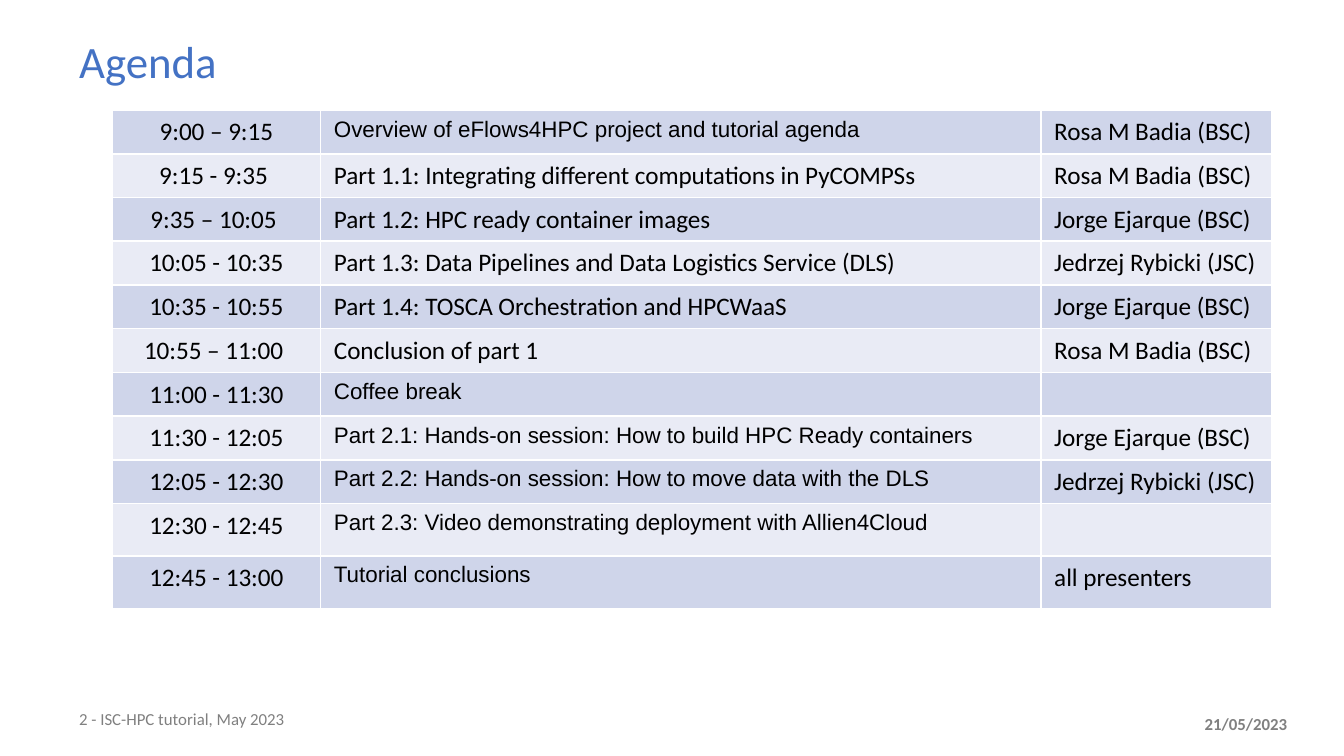
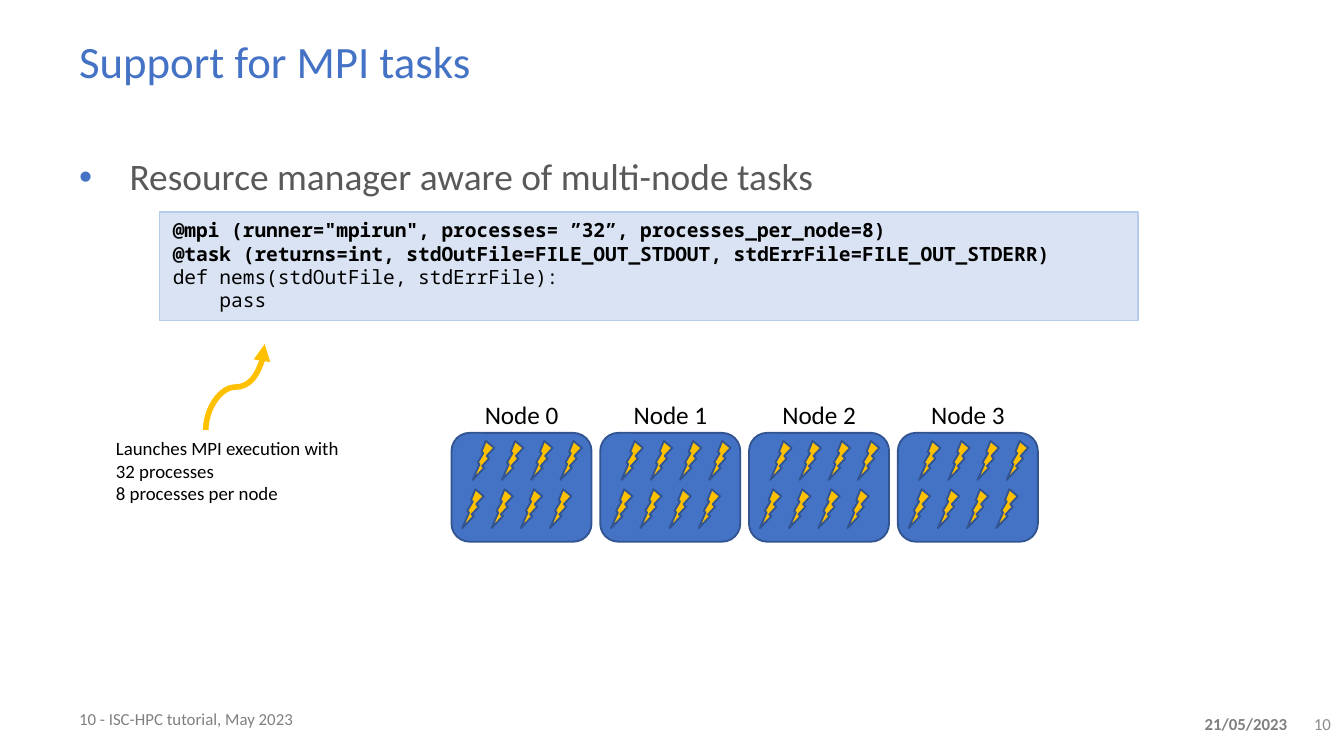
from lxml.etree import SubElement
from pptx import Presentation
from pptx.dml.color import RGBColor
from pptx.enum.shapes import MSO_CONNECTOR, MSO_SHAPE
from pptx.enum.text import MSO_ANCHOR, PP_ALIGN
from pptx.oxml.ns import qn
from pptx.util import Pt

COLORS = {
    "title": "4472C4", "body": "595959", "footer": "808080", "page": "8C8C8C",
    "text": "000000", "border": "FFFFFF", "band_dark": "CFD5EA",
    "band_light": "E9EBF5", "code_fill": "DAE3F3", "code_line": "B4CCEA",
    "node": "4472C4", "outline": "325491", "accent": "FFC000",
}

EVENT = "ISC-HPC tutorial, May 2023"
DATE = "21/05/2023"

# time, topic, presenter, font of the topic
AGENDA = [
    ("9:00 – 9:15", "Overview of eFlows4HPC project and tutorial agenda", "Rosa M Badia (BSC)", "Arial"),
    ("9:15 - 9:35 ", "Part 1.1: Integrating different computations in PyCOMPSs", "Rosa M Badia (BSC)", "Calibri"),
    ("9:35 – 10:05 ", "Part 1.2: HPC ready container images", "Jorge Ejarque (BSC)", "Calibri"),
    ("10:05 - 10:35", "Part 1.3: Data Pipelines and Data Logistics Service (DLS)", "Jedrzej Rybicki (JSC)", "Calibri"),
    ("10:35 - 10:55", "Part 1.4: TOSCA Orchestration and HPCWaaS", "Jorge Ejarque (BSC)", "Calibri"),
    ("10:55 – 11:00 ", "Conclusion of part 1", "Rosa M Badia (BSC)", "Calibri"),
    ("11:00 - 11:30", "Coffee break", "", "Arial"),
    ("11:30 - 12:05", "Part 2.1: Hands-on session: How to build HPC Ready containers", "Jorge Ejarque (BSC)", "Arial"),
    ("12:05 - 12:30", "Part 2.2: Hands-on session: How to move data with the DLS", "Jedrzej Rybicki (JSC)", "Arial"),
    ("12:30 - 12:45", "Part 2.3: Video demonstrating deployment with Allien4Cloud", "", "Arial"),
    ("12:45 - 13:00", "Tutorial conclusions", "all presenters", "Arial"),
]
COLUMN_WIDTHS = (111.6, 385.9, 123.8)
ROW_HEIGHTS = [22.3] * 9 + [28.1] * 2

DECORATORS = [
    '@mpi (runner="mpirun", processes= ”32”, processes_per_node=8)',
    "@task (returns=int, stdOutFile=FILE_OUT_STDOUT, stdErrFile=FILE_OUT_STDERR)",
]
FUNCTION = ["def nems(stdOutFile, stdErrFile):", "    pass"]
LAUNCH_NOTE = ["Launches MPI execution with \n32 processes", "8 processes per node"]

NODES = ["Node 0", "Node 1", "Node 2", "Node 3"]
NODE_LEFT, NODE_TOP, NODE_STEP = 241.9, 231.9, 79.7
NODE_WIDTH, NODE_HEIGHT = 75, 58.3
BOLT_ROWS = [(11.4, 236.2), (5.8, 262.1)]  # offset in the node, top
BOLTS_PER_ROW, BOLT_STEP = 4, 15.65


def rgb(name):
    return RGBColor.from_string(COLORS[name])


def write(frame, lines, size=13.5, font="Calibri", color="text", bold=False,
          align=PP_ALIGN.LEFT, anchor=MSO_ANCHOR.TOP, spacing=None, indent=0,
          bullet=None, bold_lines=0):
    """Fill a text frame with one paragraph per line; bold_lines counts leading bold ones."""
    frame.vertical_anchor = anchor
    for index, line in enumerate(lines):
        paragraph = frame.paragraphs[0] if index == 0 else frame.add_paragraph()
        paragraph.text = line
        paragraph.alignment = align
        if spacing:
            paragraph.line_spacing = spacing
        properties = paragraph._p.get_or_add_pPr()
        if indent:
            properties.set("marL", str(Pt(indent)))
        if bullet:
            properties.set("indent", str(-Pt(indent)))
            bullet_color = SubElement(properties, qn("a:buClr"))
            SubElement(bullet_color, qn("a:srgbClr"), val=COLORS[bullet])
            SubElement(properties, qn("a:buFont"), typeface="Arial")
            SubElement(properties, qn("a:buChar"), char="•")
        for run in paragraph.runs:
            run.font.size = Pt(size)
            run.font.name = font
            run.font.bold = bold or index < bold_lines
            run.font.color.rgb = rgb(color)
        for line_break in paragraph._p.findall(qn("a:br")):
            SubElement(line_break, qn("a:rPr"), sz=str(round(size * 100)))
        if not line:
            paragraph._p.get_or_add_endParaRPr().set("sz", str(round(size * 100)))


def add_text(shapes, lines, box, wrap=True, **style):
    frame = shapes.add_textbox(*map(Pt, box)).text_frame
    frame.word_wrap = wrap
    write(frame, lines, **style)


def add_block(shapes, preset, box, fill, line, width=1):
    block = shapes.add_shape(preset, *map(Pt, box))
    block.shadow.inherit = False
    block.fill.solid()
    block.fill.fore_color.rgb = rgb(fill)
    block.line.color.rgb = rgb(line)
    block.line.width = Pt(width)
    return block


def add_slide(deck, title, number):
    """Start a slide with the shared title and footers."""
    slide = deck.slides.add_slide(deck.slide_layouts[6])
    add_text(slide.shapes, [f"{number} - {EVENT}"], (35.3, 373.7, 139, 23),
             size=9, color="footer", anchor=MSO_ANCHOR.MIDDLE)
    add_text(slide.shapes, [DATE], (630, 378.7, 74.9, 18), size=9,
             color="footer", bold=True, align=PP_ALIGN.CENTER)
    add_text(slide.shapes, [title], (35.3, 18, 517, 33.8), size=24,
             color="title", spacing=0.9)
    return slide


def format_cell(cell, fill):
    properties = cell._tc.get_or_add_tcPr()
    for side in ("lnL", "lnR", "lnT", "lnB"):
        border = SubElement(properties, qn(f"a:{side}"), w=str(Pt(1)))
        solid = SubElement(border, qn("a:solidFill"))
        SubElement(solid, qn("a:srgbClr"), val=COLORS["border"])
    cell.fill.solid()
    cell.fill.fore_color.rgb = rgb(fill)


def add_agenda(slide):
    box = (60.1, 59, sum(COLUMN_WIDTHS), sum(ROW_HEIGHTS))
    table = slide.shapes.add_table(
        len(AGENDA), len(COLUMN_WIDTHS), *map(Pt, box)).table
    table.first_row = table.horz_banding = False
    for column, width in zip(table.columns, COLUMN_WIDTHS):
        column.width = Pt(width)
    for index, (time, topic, presenter, topic_font) in enumerate(AGENDA):
        row = table.rows[index]
        row.height = Pt(ROW_HEIGHTS[index])
        for cell in row.cells:
            format_cell(cell, "band_light" if index % 2 else "band_dark")
        time_cell, topic_cell, presenter_cell = row.cells
        write(time_cell.text_frame, [time], align=PP_ALIGN.CENTER)
        write(topic_cell.text_frame, [topic], font=topic_font,
              size=12 if topic_font == "Arial" else 13.5)
        write(presenter_cell.text_frame, [presenter])


def add_curved_arrow(slide):
    """Draw the arrow rising from the launch note to the code."""
    arrow = slide.shapes.add_connector(
        MSO_CONNECTOR.CURVE, Pt(149), Pt(223.2), Pt(103), Pt(191.6))
    arrow.line.color.rgb = rgb("accent")
    arrow.line.width = Pt(3)
    SubElement(arrow.line._get_or_add_ln(), qn("a:tailEnd"), type="triangle")
    properties = arrow._element.spPr
    properties.xfrm.set("rot", str(90 * 60000))
    SubElement(properties, qn("a:effectLst"))


def add_node(slide, label, left):
    shapes = slide.shapes.add_group_shape().shapes
    add_block(shapes, MSO_SHAPE.ROUNDED_RECTANGLE,
              (left, NODE_TOP, NODE_WIDTH, NODE_HEIGHT), "node", "outline")
    add_text(shapes, [label], (left + 10.1, 210.4, 54.8, 23.7), wrap=False,
             align=PP_ALIGN.CENTER)
    for offset, top in BOLT_ROWS:
        for index in range(BOLTS_PER_ROW):
            box = (left + offset + index * BOLT_STEP, top, 11.5, 20.9)
            bolt = add_block(shapes, MSO_SHAPE.LIGHTNING_BOLT, box, "accent", "outline")
            bolt._element.spPr.xfrm.set("flipH", "1")


def add_mpi_content(slide):
    shapes = slide.shapes
    add_text(shapes, ["Resource manager aware of multi-node tasks"],
             (35.3, 81.4, 651.6, 269.3), size=20, color="body", spacing=0.9,
             indent=27, bullet="title")
    add_text(shapes, ["10"], (694, 375.8, 26, 24.5), size=9, color="page",
             align=PP_ALIGN.RIGHT, anchor=MSO_ANCHOR.MIDDLE)
    code = add_block(shapes, MSO_SHAPE.RECTANGLE, (85.5, 113.5, 524.3, 58.2),
                     "code_fill", "code_line", width=0.75)
    code.text_frame.word_wrap = True
    write(code.text_frame, DECORATORS + FUNCTION, size=10.5,
          font="Noto Sans Mono", spacing=Pt(12.5), bold_lines=len(DECORATORS))
    add_text(shapes, LAUNCH_NOTE, (28, 230.4, 165, 44), size=10.1, indent=27)
    add_curved_arrow(slide)
    for index, label in enumerate(NODES):
        add_node(slide, label, NODE_LEFT + index * NODE_STEP)


def main():
    deck = Presentation()
    deck.slide_width, deck.slide_height = Pt(720), Pt(405)
    add_agenda(add_slide(deck, "Agenda", 2))
    add_mpi_content(add_slide(deck, "Support for MPI tasks", 10))
    deck.save("out.pptx")


if __name__ == "__main__":
    main()
